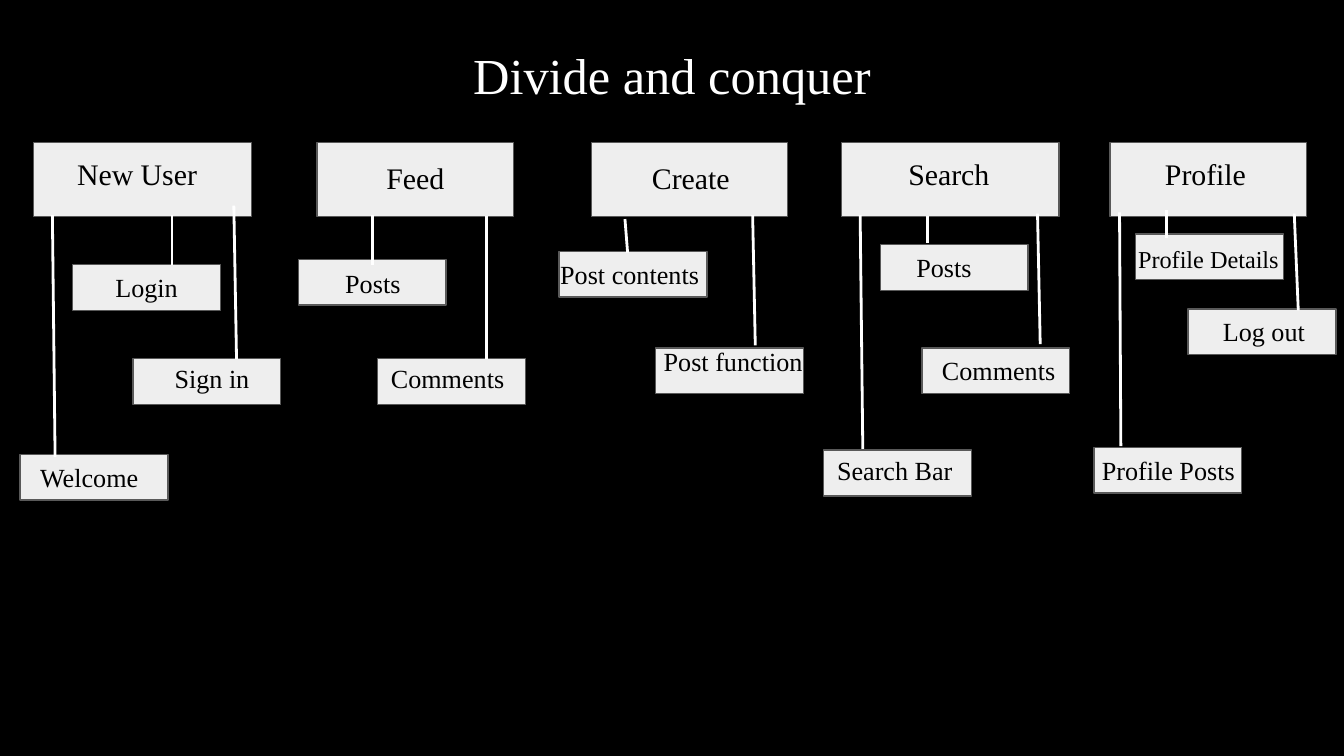
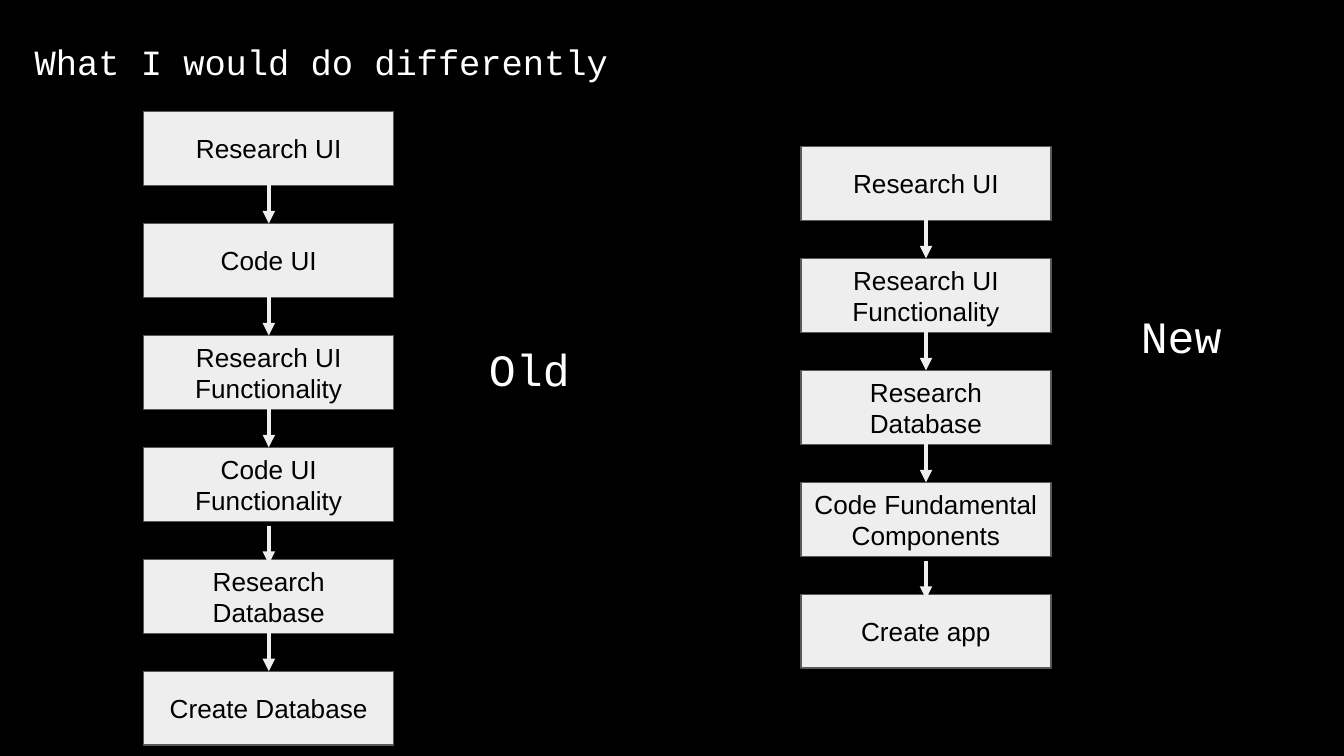
from dataclasses import dataclass
from typing import NamedTuple

from lxml import etree
from pptx import Presentation
from pptx.dml.color import RGBColor
from pptx.enum.shapes import MSO_CONNECTOR, MSO_SHAPE
from pptx.enum.text import MSO_ANCHOR, PP_ALIGN
from pptx.oxml.ns import qn
from pptx.shapes.autoshape import Shape
from pptx.shapes.connector import Connector
from pptx.slide import Slide
from pptx.util import Emu, Inches, Pt

RECTANGLE = MSO_SHAPE.RECTANGLE
STRAIGHT = MSO_CONNECTOR.STRAIGHT
TOP, MIDDLE = MSO_ANCHOR.TOP, MSO_ANCHOR.MIDDLE
LEFT, CENTER = PP_ALIGN.LEFT, PP_ALIGN.CENTER

# The slide is a grid of square cells.
COLUMNS, ROWS = 100, 56.25
SLIDE_WIDTH = Inches(10)
CELL = SLIDE_WIDTH / COLUMNS
MARGIN = 1

HEADING_TOP, HEADING_HEIGHT = 10.6, 5.5
HEADING_LABEL_WIDTH, HEADING_LABEL_HEIGHT = 17.4, 5
LEAF_WIDTH, LEAF_HEIGHT = 11, 3.4
STEP_WIDTH, STEP_HEIGHT, STEP_PITCH = 18.6, 5.5, 8.33
LATE_ARROW, LATE_SHIFT = 3, 0.35


@dataclass(frozen=True)
class Theme:
    background: str = "000000"
    light: str = "FFFFFF"
    dark: str = "000000"
    box: str = "EEEEEE"
    border: str = "595959"
    serif: str = "Times New Roman"
    sans: str = "Arial"
    mono: str = "Courier New"
    tree_title: float = 27
    flow_title: float = 19
    flow_name: float = 24
    heading: float = 16
    body: float = 14
    tight: float = 13
    border_width: float = 0.75
    stem_width: float = 1.5
    arrow_width: float = 2.25


THEME = Theme()


class Area(NamedTuple):
    left: float
    top: float
    width: float
    height: float


class Line(NamedTuple):
    start_column: float
    start_row: float
    end_column: float
    end_row: float


class Leaf(NamedTuple):
    text: str
    left: float
    top: float
    label: Area
    stem: Line
    size: float = THEME.body


class Branch(NamedTuple):
    heading: str
    left: float
    width: float
    label_left: float
    label_top: float
    leaves: tuple[Leaf, ...]


class Flow(NamedTuple):
    name: str
    name_area: Area
    left: float
    top: float
    steps: tuple[str, ...]


BRANCHES = (
    Branch("New User", 2.5, 16.2, 1.5, 10.6, (
        Leaf("Login", 5.4, 19.7, Area(7.6, 19.2, 10.5, 2.4), Line(12.8, 19.7, 12.8, 16)),
        Leaf("Sign in", 9.9, 26.7, Area(12, 26, 10.2, 2.4), Line(17.6, 26.7, 17.4, 15.3)),
        Leaf("Welcome", 1.5, 33.8, Area(2, 33.3, 10.1, 2.4), Line(4.1, 34, 3.9, 16)),
    )),
    Branch("Feed", 23.6, 14.6, 22.2, 10.9, (
        Leaf("Posts", 22.2, 19.3, Area(24.7, 18.9, 10.2, 3), Line(27.7, 19.7, 27.7, 16)),
        Leaf("Comments", 28.1, 26.7, Area(28.1, 26, 12.6, 3), Line(36.2, 26.7, 36.2, 16.1)),
    )),
    Branch("Create", 44, 14.6, 42.7, 10.9, (
        Leaf("Post contents", 41.6, 18.7, Area(40.7, 18.2, 15, 3.4), Line(46.7, 18.8, 46.5, 16.3)),
        Leaf("Post function", 48.8, 25.9, Area(48.4, 25.4, 12.6, 1.3), Line(56.2, 25.7, 56, 16)),
    )),
    Branch("Search", 62.6, 16.2, 61.9, 10.6, (
        Leaf("Posts", 65.5, 18.2, Area(67.2, 17.7, 15, 3.4), Line(69, 18.1, 69, 16.1)),
        Leaf("Comments", 68.6, 25.9, Area(69.1, 25.4, 12.6, 3), Line(77.4, 25.6, 77.2, 15.9)),
        Leaf("Search Bar", 61.3, 33.5, Area(61.3, 32.8, 12.6, 3), Line(64.2, 33.4, 64, 16)),
    )),
    Branch("Profile", 82.6, 14.6, 81, 10.6, (
        Leaf("Profile Details", 84.5, 17.4, Area(83.7, 17.2, 13.4, 2.5),
             Line(86.8, 17.7, 86.8, 15.6), THEME.tight),
        Leaf("Log out", 88.4, 23, Area(90, 22.5, 10.5, 2.5), Line(96.6, 23.1, 96.3, 15.9)),
        Leaf("Profile Posts", 81.4, 33.3, Area(81, 32.8, 13.4, 2.5), Line(83.4, 33.2, 83.3, 15.8)),
    )),
)

FLOWS = (
    Flow("Old", Area(35.4, 24.4, 10.7, 14.7), 10.7, 8.3, (
        "Research UI", "Code UI", "Research UI Functionality",
        "Code UI Functionality", "Research Database", "Create Database",
    )),
    Flow("New", Area(83.9, 22, 41.6, 14.7), 59.6, 10.9, (
        "Research UI", "Research UI Functionality", "Research Database",
        "Code Fundamental Components", "Create app",
    )),
)


def cells(count: float) -> Emu:
    return Emu(round(count * CELL))


def color(value: str) -> RGBColor:
    return RGBColor.from_string(value)


def write(shape: Shape, text: str, *, font: str, size: float, ink: str = THEME.dark,
          align: PP_ALIGN = LEFT, anchor: MSO_ANCHOR = TOP) -> None:
    frame = shape.text_frame
    frame.word_wrap = True
    frame.vertical_anchor = anchor
    frame.margin_left = frame.margin_right = cells(MARGIN)
    frame.margin_top = frame.margin_bottom = cells(MARGIN)
    paragraph = frame.paragraphs[0]
    paragraph.alignment = align
    run = paragraph.add_run()
    run.text = text
    run.font.name = font
    run.font.size = Pt(size)
    run.font.color.rgb = color(ink)


def add_label(slide: Slide, area: Area, text: str, **text_format) -> None:
    write(slide.shapes.add_textbox(*map(cells, area)), text, **text_format)


def add_box(slide: Slide, area: Area) -> Shape:
    shape = slide.shapes.add_shape(RECTANGLE, *map(cells, area))
    shape.shadow.inherit = False
    shape.fill.solid()
    shape.fill.fore_color.rgb = color(THEME.box)
    shape.line.color.rgb = color(THEME.border)
    shape.line.width = Pt(THEME.border_width)
    return shape


def add_line(slide: Slide, line: Line, ink: str, width: float) -> Connector:
    connector = slide.shapes.add_connector(STRAIGHT, *map(cells, line))
    connector.line.color.rgb = color(ink)
    connector.line.width = Pt(width)
    etree.SubElement(connector._element.spPr, qn("a:effectLst"))
    return connector


def add_arrow(slide: Slide, line: Line) -> None:
    connector = add_line(slide, line, THEME.box, THEME.arrow_width)
    outline = connector.line._get_or_add_ln()
    etree.SubElement(outline, qn("a:tailEnd"), type="triangle")


def add_branch(slide: Slide, branch: Branch) -> None:
    """Draw a heading box, then its leaf boxes, stems and labels on top."""
    add_box(slide, Area(branch.left, HEADING_TOP, branch.width, HEADING_HEIGHT))
    label = Area(branch.label_left, branch.label_top, HEADING_LABEL_WIDTH, HEADING_LABEL_HEIGHT)
    add_label(slide, label, branch.heading, font=THEME.serif, size=THEME.heading, align=CENTER)
    for leaf in branch.leaves:
        add_box(slide, Area(leaf.left, leaf.top, LEAF_WIDTH, LEAF_HEIGHT))
    for leaf in branch.leaves:
        add_line(slide, leaf.stem, THEME.light, THEME.stem_width)
        add_label(slide, leaf.label, leaf.text, font=THEME.serif, size=leaf.size)


def add_flow(slide: Slide, flow: Flow) -> None:
    """Draw a column of steps joined by arrows, with its name beside it."""
    for index, step in enumerate(flow.steps):
        top = flow.top + index * STEP_PITCH
        box = add_box(slide, Area(flow.left, top, STEP_WIDTH, STEP_HEIGHT))
        write(box, step, font=THEME.sans, size=THEME.body, align=CENTER, anchor=MIDDLE)
    center = flow.left + STEP_WIDTH / 2
    for index in range(len(flow.steps) - 1):
        start = flow.top + index * STEP_PITCH + STEP_HEIGHT
        if index == LATE_ARROW:
            start += LATE_SHIFT
        add_arrow(slide, Line(center, start, center, start + STEP_PITCH - STEP_HEIGHT))
    add_label(slide, flow.name_area, flow.name, font=THEME.mono, size=THEME.flow_name,
              ink=THEME.light)


def add_slide(presentation: Presentation) -> Slide:
    slide = presentation.slides.add_slide(presentation.slide_layouts[6])
    slide.background.fill.solid()
    slide.background.fill.fore_color.rgb = color(THEME.background)
    return slide


def main() -> None:
    presentation = Presentation()
    presentation.slide_width = SLIDE_WIDTH
    presentation.slide_height = cells(ROWS)

    tree = add_slide(presentation)
    add_label(tree, Area(29.5, 2.3, 41, 5), "Divide and conquer", font=THEME.serif,
              size=THEME.tree_title, ink=THEME.light, align=CENTER)
    for branch in BRANCHES:
        add_branch(tree, branch)

    comparison = add_slide(presentation)
    add_label(comparison, Area(1.6, 2, 45.9, 8.3), "What I would do differently",
              font=THEME.mono, size=THEME.flow_title, ink=THEME.light)
    for flow in FLOWS:
        add_flow(comparison, flow)

    presentation.save("out.pptx")


if __name__ == "__main__":
    main()
